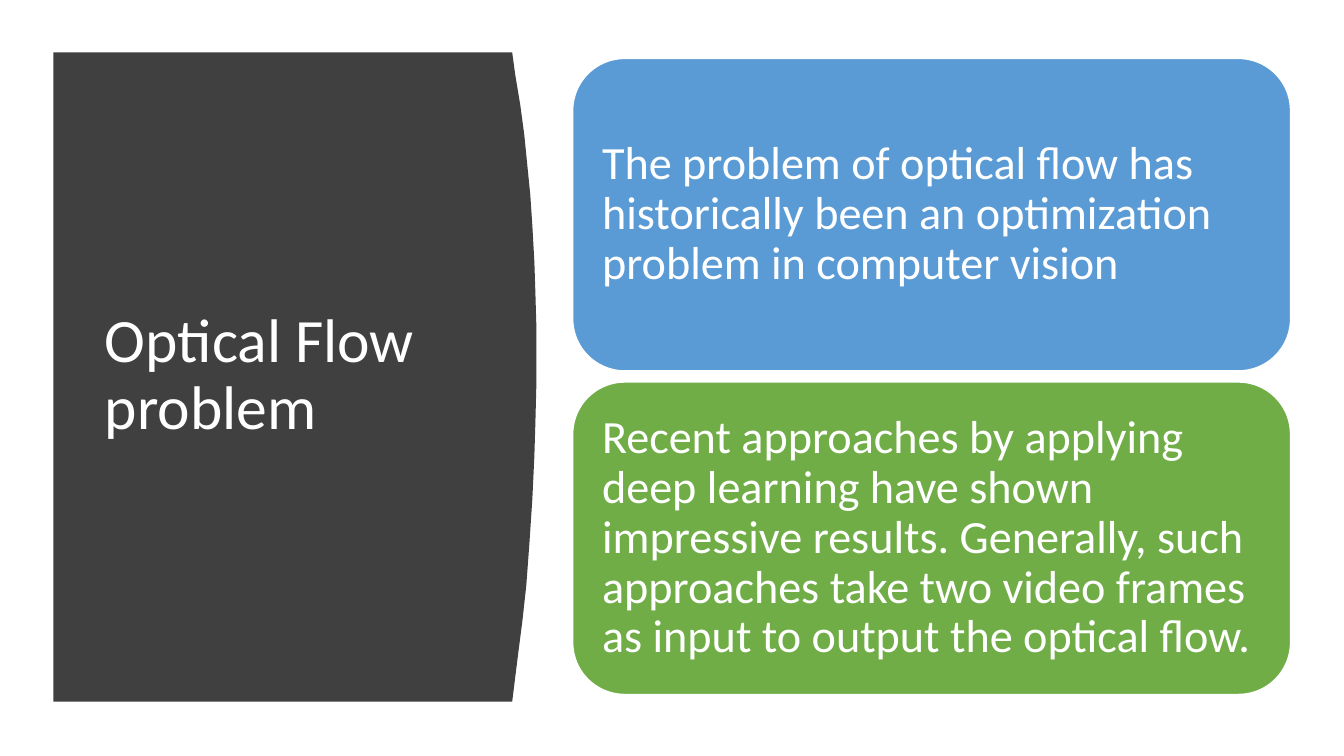
from pptx import Presentation
from pptx.dml.color import RGBColor
from pptx.enum import shapes, text
from pptx.util import Inches, Pt

COLORS = {"panel": "404040", "blue": "5B9BD5", "green": "70AD47", "white": "FFFFFF"}
FONT = "Calibri"
CURVE = [
    (5.08, 0.52), (5.11, 0.74), (5.16, 1.04), (5.2, 1.34), (5.23, 1.64),
    (5.26, 1.94), (5.28, 2.24), (5.3, 2.6), (5.31, 2.9), (5.32, 3.25),
    (5.32, 3.8), (5.31, 4.2), (5.3, 4.52), (5.28, 4.95), (5.25, 5.4),
    (5.22, 5.81), (5.18, 6.17), (5.14, 6.48), (5.11, 6.72), (5.08, 6.96),
]
CARDS = [
    ("blue", "The problem of optical flow has historically been an optimization "
             "problem in computer vision"),
    ("green", "Recent approaches by applying deep learning have shown impressive "
              "results. Generally, such approaches take two video frames as input "
              "to output the optical flow."),
]


def color(name):
    """Return the named colour."""
    return RGBColor.from_string(COLORS[name])


def write(shape, words, size, margins):
    """Write one left-aligned, vertically centred white paragraph."""
    frame = shape.text_frame
    frame.word_wrap = True
    frame.auto_size = text.MSO_AUTO_SIZE.NONE
    frame.vertical_anchor = text.MSO_ANCHOR.MIDDLE
    frame.margin_left = frame.margin_right = Inches(margins[0])
    frame.margin_top = frame.margin_bottom = Inches(margins[1])
    para = frame.paragraphs[0]
    para.alignment = text.PP_ALIGN.LEFT
    para.line_spacing = 0.9
    para.space_before = Pt(0)
    span = para.add_run()
    span.text = words
    span.font.name = FONT
    span.font.size = Pt(size)
    span.font.color.rgb = color("white")


def add_title_panel(page, left, top, width, height):
    """Place the title on a dark panel with a curved right edge."""
    start, *rest = [(Inches(x), Inches(y)) for x, y in CURVE]
    builder = page.shapes.build_freeform(*start)
    corners = [(Inches(left), Inches(top + height)), (Inches(left), Inches(top))]
    builder.add_line_segments(rest + corners, close=True)
    panel = builder.convert_to_shape()
    panel.shadow.inherit = False
    panel.fill.solid()
    panel.fill.fore_color.rgb = color("panel")
    panel.line.fill.background()

    title = page.shapes.title
    title.left, title.top = Inches(left + 0.41), Inches(top + 0.59)
    title.width, title.height = Inches(width - 1.05), Inches(height - 1.2)
    write(title, "Optical Flow problem", 44, (0.1, 0.05))
    title.element.addprevious(panel.element)


def add_cards(page, left, top, width, height, gap=0.11):
    """Stack the rounded cards evenly in the given box."""
    card_height = (height - gap * (len(CARDS) - 1)) / len(CARDS)
    for index, (fill, words) in enumerate(CARDS):
        card = page.shapes.add_shape(
            shapes.MSO_SHAPE.ROUNDED_RECTANGLE,
            Inches(left), Inches(top + index * (card_height + gap)),
            Inches(width), Inches(card_height))
        card.shadow.inherit = False
        card.fill.solid()
        card.fill.fore_color.rgb = color(fill)
        card.line.color.rgb = color("white")
        card.line.width = Pt(1)
        write(card, words, 33, (0.14, 0.14))


def main():
    """Build and save the deck."""
    deck = Presentation()
    deck.slide_width, deck.slide_height = Inches(13.33), Inches(7.5)
    page = deck.slides.add_slide(deck.slide_layouts[5])
    add_title_panel(page, 0.53, 0.52, 4.79, 6.44)
    add_cards(page, 5.68, 0.58, 7.12, 6.31)
    deck.save("out.pptx")


if __name__ == "__main__":
    main()
